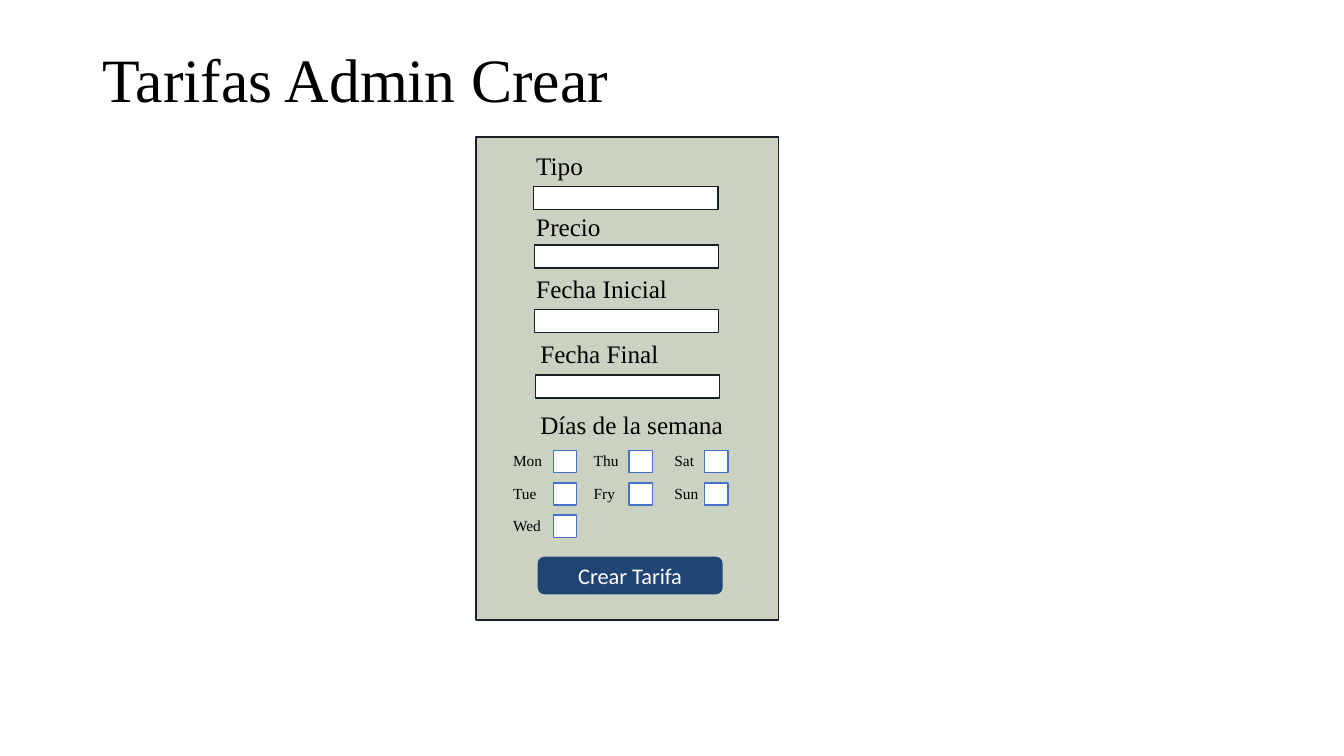
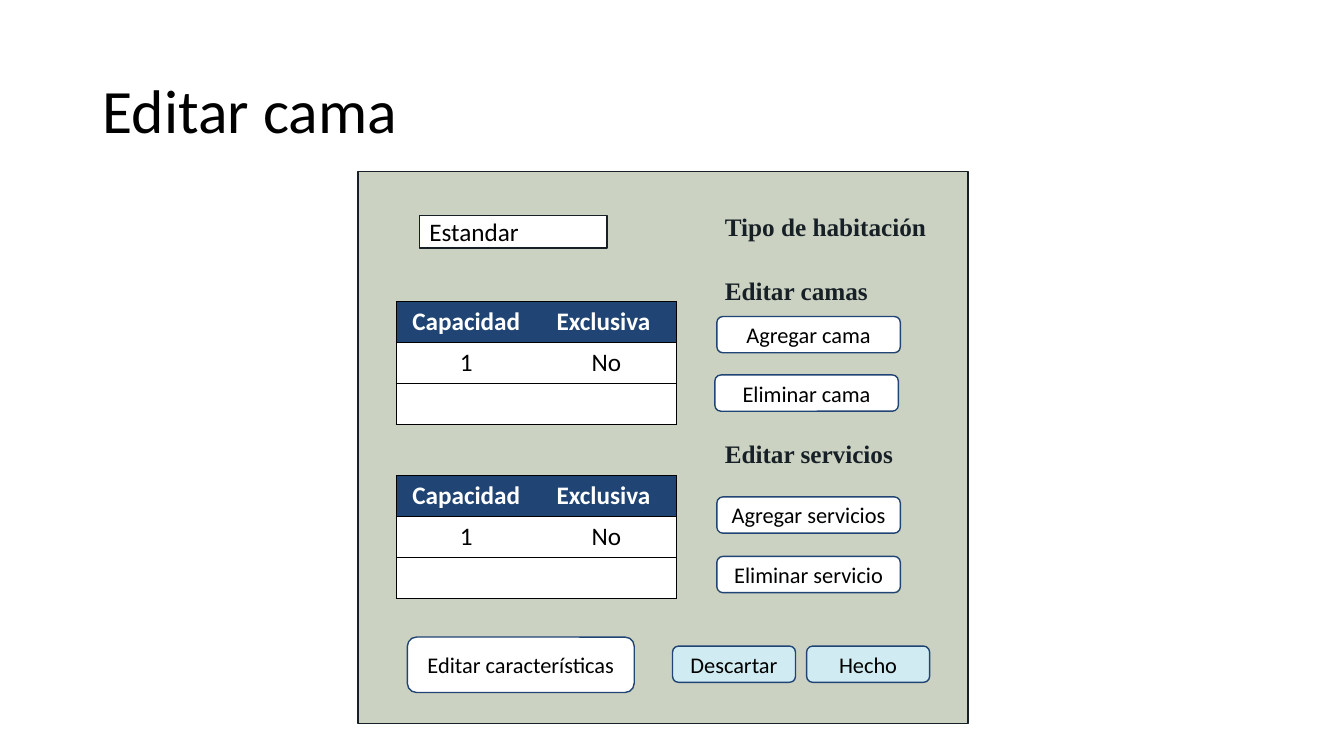
"""Build the rate creation and bed editing screen mock-ups."""
import pptx
import pptx.dml.color
import pptx.enum.shapes
import pptx.enum.text
import pptx.oxml
import pptx.oxml.ns
import pptx.util

Inches = pptx.util.Inches
Pt = pptx.util.Pt
Align = pptx.enum.text.PP_ALIGN
Anchor = pptx.enum.text.MSO_ANCHOR
Preset = pptx.enum.shapes.MSO_SHAPE

SERIF = "Times New Roman"
SANS = "Calibri"
BLACK = "000000"
WHITE = "FFFFFF"
INK = "172026"
SAGE = "CCD2C2"
NAVY = "204473"
BLUE = "4472C4"
PALE_BLUE = "D0ECF2"

BUTTON_WIDTH, BUTTON_HEIGHT = 1.82, 0.36


def rgb(value):
    """Turn a hex string into a colour."""
    return pptx.dml.color.RGBColor.from_string(value)


def write(frame, text, size=18, font=SANS, color=BLACK, bold=False,
          align=Align.LEFT, anchor=Anchor.TOP, after=0, spacing=1.0):
    """Put one formatted paragraph into a text frame."""
    frame.word_wrap = True
    frame.vertical_anchor = anchor
    paragraph = frame.paragraphs[0]
    paragraph.alignment = align
    paragraph.space_after = Pt(after)
    paragraph.line_spacing = spacing
    run = paragraph.add_run()
    run.text = text
    run.font.size = Pt(size)
    run.font.name = font
    run.font.bold = bold
    run.font.color.rgb = rgb(color)


def add_text(slide, text, left, top, width, height, **style):
    """Add a text box."""
    box = slide.shapes.add_textbox(
        Inches(left), Inches(top), Inches(width), Inches(height))
    write(box.text_frame, text, **style)


def add_title(slide, text, top, height, font):
    """Add the slide title."""
    add_text(slide, text, 0.92, top, 11.5, height, size=44, font=font,
             anchor=Anchor.MIDDLE, spacing=0.9)


def add_label(slide, text, left, top, width=2.35, height=0.4, **style):
    """Add a serif form label."""
    add_text(slide, text, left, top, width, height, font=SERIF, after=6, **style)


def add_box(slide, left, top, width, height, fill=WHITE, line=INK,
            preset=Preset.RECTANGLE):
    """Add a filled and outlined shape."""
    box = slide.shapes.add_shape(
        preset, Inches(left), Inches(top), Inches(width), Inches(height))
    box.shadow.inherit = False
    box.fill.solid()
    box.fill.fore_color.rgb = rgb(fill)
    box.line.color.rgb = rgb(line)
    box.line.width = Pt(1)
    return box


def add_button(slide, text, left, top, width=BUTTON_WIDTH,
               height=BUTTON_HEIGHT, fill=WHITE, color=BLACK):
    """Add a rounded button with a centred caption."""
    button = add_box(slide, left, top, width, height, fill, NAVY,
                     Preset.ROUNDED_RECTANGLE)
    write(button.text_frame, text, size=16, color=color,
          align=Align.CENTER, anchor=Anchor.MIDDLE)


def set_borders(cell, visible_sides):
    """Draw the given sides of a cell and hide the others."""
    properties = cell._tc.get_or_add_tcPr()
    for side in "LRTB":
        paint = (f'<a:solidFill><a:srgbClr val="{BLACK}"/></a:solidFill>'
                 if side in visible_sides else "<a:noFill/>")
        properties.append(pptx.oxml.parse_xml(
            f'<a:ln{side} {pptx.oxml.ns.nsdecls("a")} w="{Pt(0.5)}">'
            f'{paint}</a:ln{side}>'))


def add_bed_table(slide, left, top):
    """Add the table of bed capacity and exclusivity."""
    rows = [("Capacidad", "Exclusiva "), ("1", "No"), ("", "")]
    table = slide.shapes.add_table(
        len(rows), 2, Inches(left), Inches(top), Inches(2.78), Inches(1.22)).table
    table.first_row = False
    table.horz_banding = False
    for row_index, values in enumerate(rows):
        header = row_index == 0
        for column_index, value in enumerate(values):
            cell = table.cell(row_index, column_index)
            set_borders(cell, "TB" + "LR"[column_index])
            cell.fill.solid()
            cell.fill.fore_color.rgb = rgb(NAVY if header else WHITE)
            if value:
                write(cell.text_frame, value, color=WHITE if header else BLACK,
                      bold=header, align=Align.CENTER)


def add_weekdays(slide):
    """Add the weekday check boxes, filled column by column."""
    columns = [("Mon", "Tue", "Wed"), ("Thu", "Fry"), ("Sat", "Sun")]
    for column, days in enumerate(columns):
        for row, day in enumerate(days):
            top = 4.47 + 0.32 * row
            add_box(slide, 5.49 + 0.75 * column, top, 0.23, 0.22, line=BLUE)
            add_label(slide, day, 4.99 + 0.8 * column, top - 0.04,
                      0.53, 0.29, size=11)


def build_rate_form(slide):
    """Build the form that creates a rate."""
    add_box(slide, 4.72, 1.36, 3, 4.79, SAGE)
    add_title(slide, "Tarifas Admin Crear", 0.38, 0.88, SERIF)
    fields = [("Tipo", 5.22, 1.44, 5.29, 1.85),
              ("Precio", 5.22, 2.05, 5.3, 2.43),
              ("Fecha Inicial", 5.22, 2.66, 5.3, 3.07),
              ("Fecha Final", 5.26, 3.31, 5.31, 3.72)]
    for name, label_left, label_top, input_left, input_top in fields:
        add_label(slide, name, label_left, label_top)
        add_box(slide, input_left, input_top, 1.83, 0.23)
    add_label(slide, "Días de la semana", 5.26, 4.01)
    add_weekdays(slide)
    add_button(slide, "Crear Tarifa", 5.34, 5.53, fill=NAVY, color=WHITE)


def build_bed_editor(slide):
    """Build the screen that edits beds and services."""
    add_title(slide, "Editar cama", 0.4, 1.45, SANS)
    add_box(slide, 3.55, 1.7, 6.05, 5.48, SAGE)
    room_type = add_box(slide, 4.16, 2.14, 1.86, 0.32)
    write(room_type.text_frame, "Estandar", anchor=Anchor.MIDDLE)
    for heading, top in [("Tipo de habitación", 2.05), ("Editar camas", 2.68),
                         ("Editar servicios", 4.3)]:
        add_label(slide, heading, 7.09, top, color=INK, bold=True)
    for caption, left, top in [("Agregar cama", 7.11, 3.14),
                               ("Eliminar cama", 7.09, 3.72),
                               ("Agregar servicios", 7.11, 4.93),
                               ("Eliminar servicio", 7.11, 5.52)]:
        add_button(slide, caption, left, top)
    for top in (2.99, 4.72):
        add_bed_table(slide, 3.93, top)
    add_button(slide, "Editar características", 4.04, 6.32, 2.25, 0.55)
    for caption, left in [("Descartar", 6.67), ("Hecho", 8)]:
        add_button(slide, caption, left, 6.41, 1.22, fill=PALE_BLUE)


def main():
    """Create and save the presentation."""
    deck = pptx.Presentation()
    deck.slide_width = Inches(13.33)
    deck.slide_height = Inches(7.5)
    for build in (build_rate_form, build_bed_editor):
        build(deck.slides.add_slide(deck.slide_layouts[6]))
    deck.save("out.pptx")


if __name__ == "__main__":
    main()
